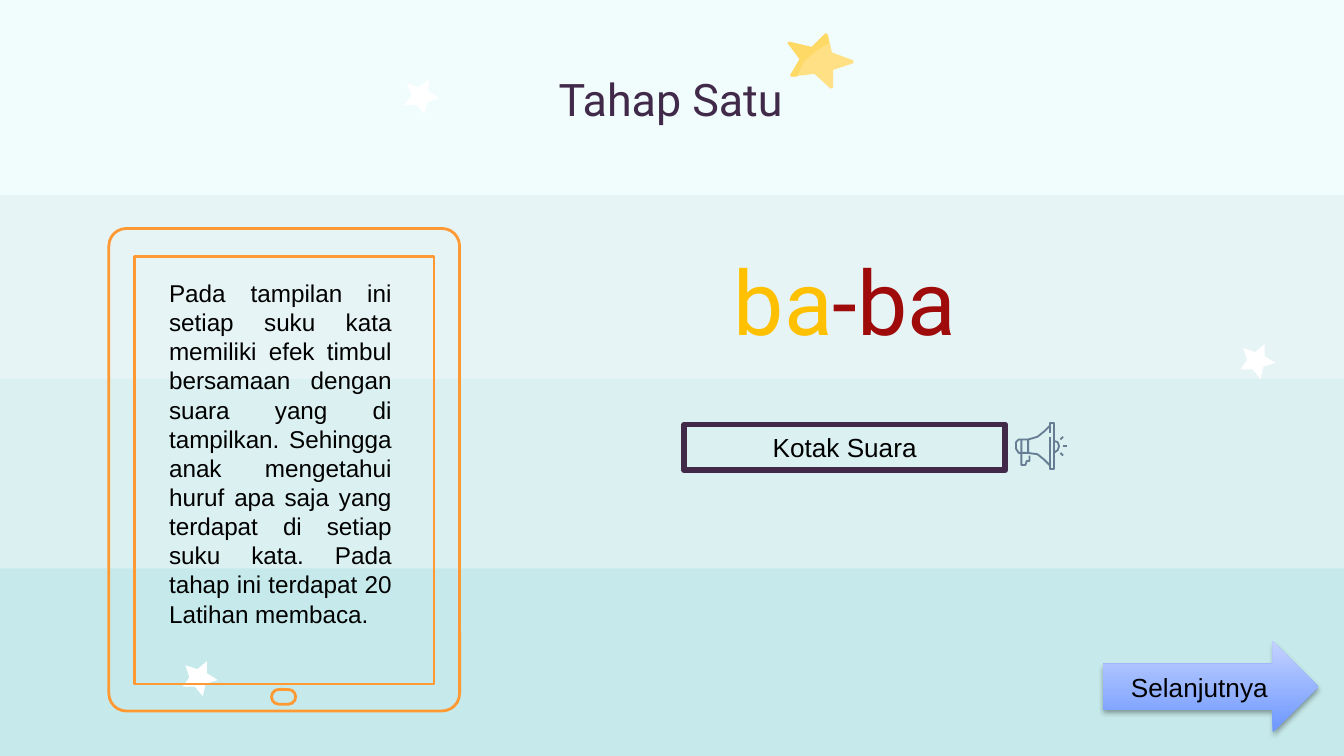
from pptx import Presentation
from pptx.dml.color import RGBColor
from pptx.enum.shapes import MSO_CONNECTOR, MSO_SHAPE
from pptx.enum.text import MSO_ANCHOR, PP_ALIGN
from pptx.oxml.ns import qn
from pptx.util import Inches, Pt
from lxml.etree import SubElement

THEME = dict(
    background="E7F4F5", star="FFFFFF", gold="FFE084", gold_shade="FFD966",
    plum="41294A", yellow="FFC000", red="9F0B0B", orange="FF9933", slate="657E93",
    black="000000", arrow=("6C97FF", "C4D2FF"),
    heading_font="Roboto", body_font="Arial",
    title_size=24, syllable_size=48, label_size=14, note_size=13,
)

# Content
TITLE = "Tahap Satu"
SYLLABLES = [("ba", THEME["yellow"]), ("-ba", THEME["red"])]
SOUND_LABEL = "Kotak Suara"
NEXT_LABEL = "Selanjutnya"
NOTE = ("Pada tampilan ini setiap suku kata memiliki efek timbul bersamaan dengan "
        "suara yang di tampilkan. Sehingga anak mengetahui huruf apa saja yang "
        "terdapat di setiap suku kata. Pada tahap ini terdapat 20 Latihan membaca.")

# Geometry, in inches
BANDS = [(2.82, 1.44, "DBF0F1"), (4.23, 1.44, "C6EAEB"), (-0.03, 1.48, "F1FCFC")]
STAR = [(0.18, 0), (0.18, 0.09), (0.26, 0.14), (0.17, 0.17), (0.15, 0.26),
        (0.09, 0.19), (0, 0.19), (0.05, 0.12), (0.02, 0.03), (0.11, 0.06)]
STAR_PLACES = [(9.23, 2.56), (3.01, 0.59), (1.36, 4.92)]
GOLD_LEFT = [(6.16, 0.26), (6.15, 0.25), (6.14, 0.25), (6.04, 0.35), (5.87, 0.31),
             (5.86, 0.32), (5.95, 0.44), (5.88, 0.56), (5.89, 0.57)]
GOLD_STAR = GOLD_LEFT + [(6.06, 0.55), (6.18, 0.66), (6.2, 0.65), (6.2, 0.52),
                         (6.35, 0.47), (6.35, 0.45), (6.19, 0.39)]
GOLD_SHADE = GOLD_LEFT + [(5.93, 0.57), (5.98, 0.46), (6.07, 0.38), (6.17, 0.32)]
TABLET = [  # preset, box, corner adjustment
    (MSO_SHAPE.ROUNDED_RECTANGLE, (0.81, 1.7, 2.61, 3.59), 0.05),
    (MSO_SHAPE.RECTANGLE, (1, 1.91, 2.23, 3.18), None),
    (MSO_SHAPE.ROUNDED_RECTANGLE, (2.02, 5.13, 0.18, 0.11), 0.5),
]
MEGAPHONE = [
    # bell, horn, back, grip, dome
    [(7.81, 3.22), (7.81, 3.15), (7.84, 3.15), (7.84, 3.49), (7.81, 3.49), (7.81, 3.25)],
    [(7.81, 3.17), (7.77, 3.21), (7.72, 3.25), (7.65, 3.27),
     (7.65, 3.37), (7.72, 3.38), (7.77, 3.42), (7.81, 3.46)],
    [(7.65, 3.27), (7.58, 3.27), (7.56, 3.29), (7.56, 3.34), (7.58, 3.37), (7.65, 3.37)],
    [(7.6, 3.27), (7.6, 3.46), (7.63, 3.46), (7.64, 3.43), (7.66, 3.43), (7.66, 3.39)],
    [(7.84, 3.28), (7.87, 3.29), (7.88, 3.32), (7.87, 3.35), (7.84, 3.37)],
]
SOUND_RAYS = [(7.91, 3.32, 7.94, 3.32), (7.89, 3.27, 7.91, 3.25), (7.89, 3.37, 7.91, 3.39)]


def color(name):
    return RGBColor.from_string(name)


def paint(shape, fill=None, line=None, width=1):
    shape.shadow.inherit = False
    if fill:
        shape.fill.solid()
        shape.fill.fore_color.rgb = color(fill)
    else:
        shape.fill.background()
    if line:
        shape.line.color.rgb = color(line)
        shape.line.width = Pt(width)
        SubElement(shape.line._get_or_add_ln(), qn("a:round"))
    else:
        shape.line.fill.background()


def add_preset(slide, preset, box, **look):
    shape = slide.shapes.add_shape(preset, *map(Inches, box))
    paint(shape, **look)
    return shape


def add_outline(slide, points, close=True, **look):
    start, *rest = [(Inches(x), Inches(y)) for x, y in points]
    builder = slide.shapes.build_freeform(*start)
    builder.add_line_segments(rest, close=close)
    paint(builder.convert_to_shape(), **look)


def write(shape, runs, font, size, align=PP_ALIGN.CENTER, anchor=MSO_ANCHOR.MIDDLE, inset=0.05):
    frame = shape.text_frame
    frame.word_wrap = True
    frame.vertical_anchor = anchor
    frame.margin_top = frame.margin_bottom = Inches(inset)
    paragraph = frame.paragraphs[0]
    paragraph.alignment = align
    paragraph.font.name = font
    paragraph.font.size = Pt(size)
    for text, tint in runs:
        run = paragraph.add_run()
        run.text = text
        run.font.color.rgb = color(tint)


def add_text(slide, box, *args, **options):
    write(slide.shapes.add_textbox(*map(Inches, box)), *args, **options)


def add_arrow_shadow(shape):
    effects = shape._element.spPr.find(qn("a:effectLst"))
    shadow = SubElement(effects, qn("a:outerShdw"), blurRad=str(Pt(3.1)),
                        dist=str(Pt(1.8)), dir="5400000", rotWithShape="0")
    tint = SubElement(shadow, qn("a:srgbClr"), val=THEME["black"])
    SubElement(tint, qn("a:alpha"), val="35000")


def main():
    deck = Presentation()
    deck.slide_width = Inches(10)
    deck.slide_height = deck.slide_width * 9 // 16
    slide = deck.slides.add_slide(deck.slide_layouts[6])
    heading, body = THEME["heading_font"], THEME["body_font"]
    black = THEME["black"]

    # Backdrop
    slide.background.fill.solid()
    slide.background.fill.fore_color.rgb = color(THEME["background"])
    for top, height, tint in BANDS:
        add_preset(slide, MSO_SHAPE.RECTANGLE, (-0.01, top, 10.07, height), fill=tint)
    for left, top in STAR_PLACES:
        add_outline(slide, [(left + x, top + y) for x, y in STAR], fill=THEME["star"])

    # Title and gold star
    add_text(slide, (0.79, 0.43, 8.4, 0.45), [(TITLE, THEME["plum"])], heading,
             THEME["title_size"], anchor=MSO_ANCHOR.TOP, inset=0.1)
    add_outline(slide, GOLD_STAR, fill=THEME["gold"])
    add_outline(slide, GOLD_SHADE, fill=THEME["gold_shade"])

    # Syllables and sound box
    add_text(slide, (3.86, 1.55, 4.86, 1.36), SYLLABLES, heading,
             THEME["syllable_size"], inset=0.1)
    sound_box = add_preset(slide, MSO_SHAPE.RECTANGLE, (5.09, 3.16, 2.39, 0.34),
                           line=THEME["plum"], width=3)
    write(sound_box, [(SOUND_LABEL, black)], body, THEME["label_size"])

    # Next arrow
    next_arrow = add_preset(slide, MSO_SHAPE.RIGHT_ARROW, (8.21, 4.77, 1.6, 0.68))
    next_arrow.fill.gradient()
    next_arrow.fill.gradient_angle = 90
    for stop, tint in zip(next_arrow.fill.gradient_stops, THEME["arrow"]):
        stop.color.rgb = color(tint)
    add_arrow_shadow(next_arrow)
    write(next_arrow, [(NEXT_LABEL, black)], body, THEME["label_size"])

    # Megaphone
    for points in MEGAPHONE:
        add_outline(slide, points, close=False, line=THEME["slate"])
    for ends in SOUND_RAYS:
        ray = slide.shapes.add_connector(MSO_CONNECTOR.STRAIGHT, *map(Inches, ends))
        ray.line.color.rgb = color(THEME["slate"])
        ray.line.width = Pt(1)
        SubElement(ray._element.spPr, qn("a:effectLst"))

    # Tablet and its note
    for preset, box, corner in TABLET:
        part = add_preset(slide, preset, box, line=THEME["orange"], width=1.5)
        if corner:
            part.adjustments[0] = corner
    add_text(slide, (1.16, 2.02, 1.85, 2.95), [(NOTE, black)], body, THEME["note_size"],
             align=PP_ALIGN.JUSTIFY, anchor=MSO_ANCHOR.TOP)

    deck.save("out.pptx")


if __name__ == "__main__":
    main()
